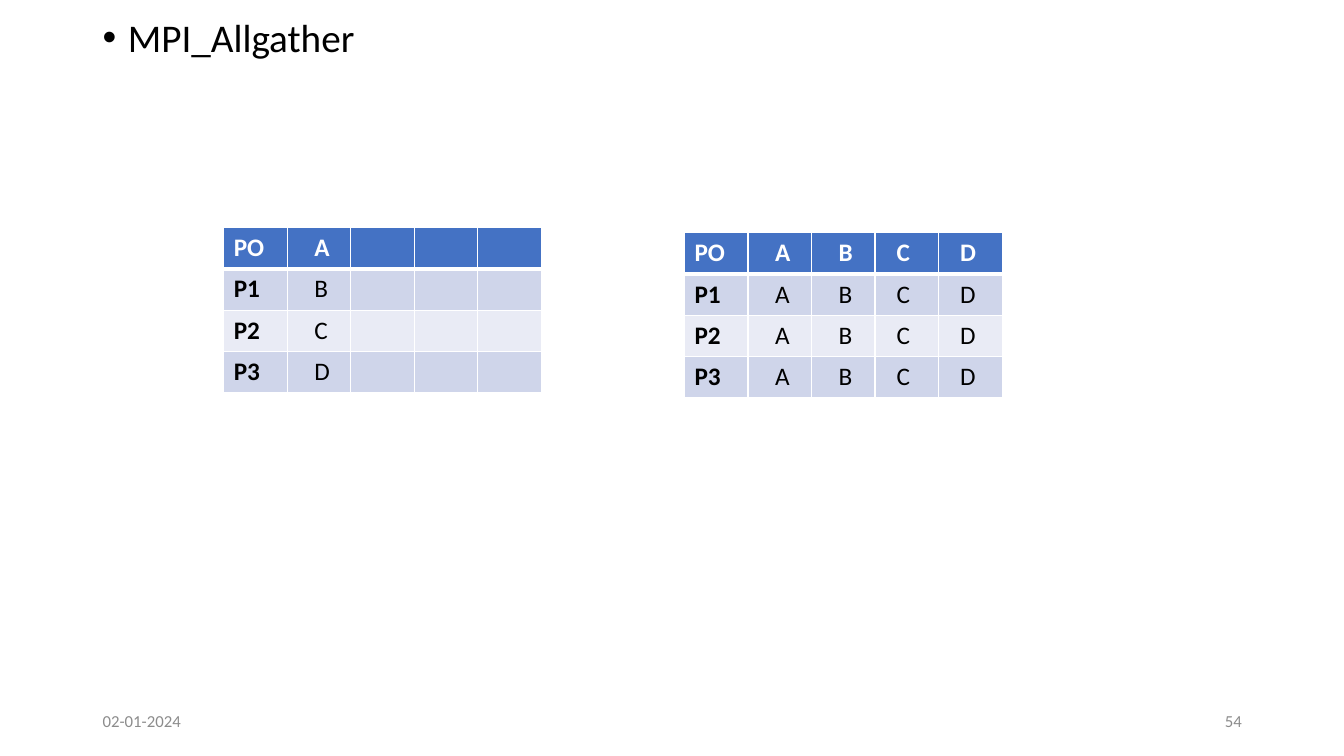
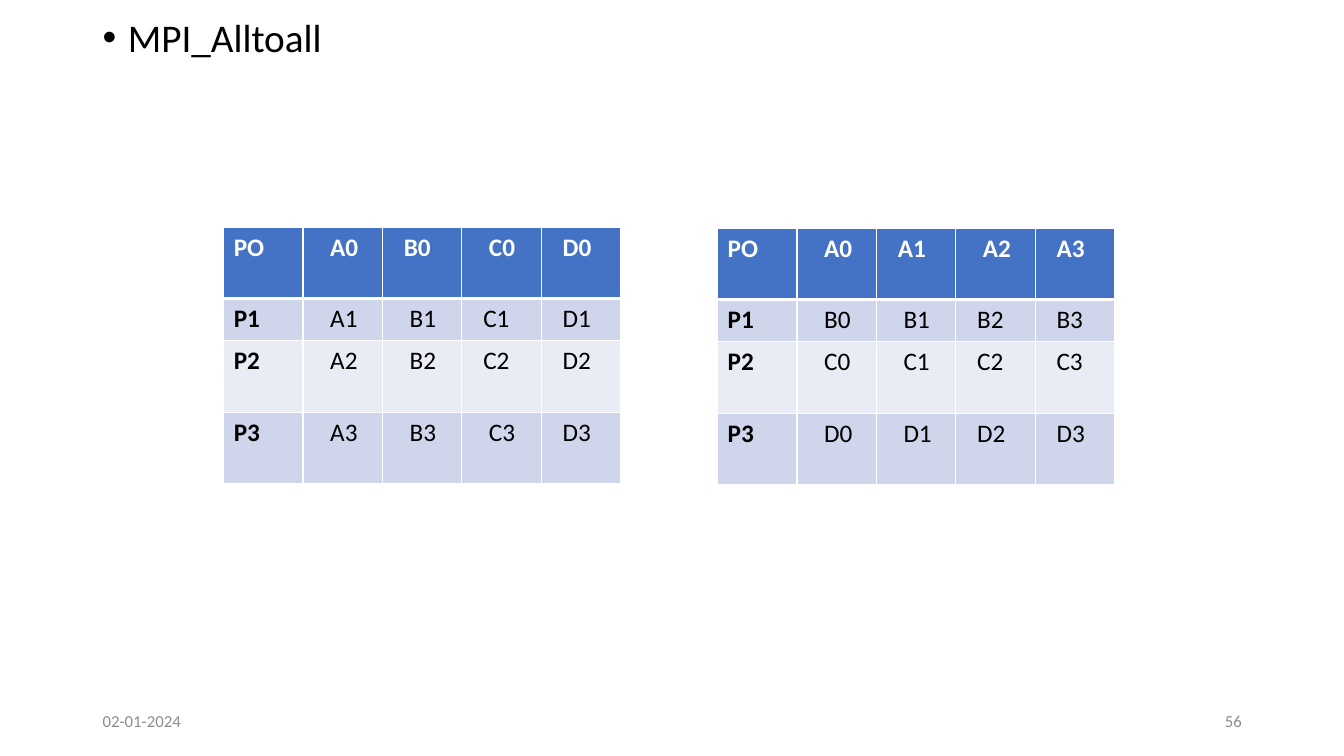
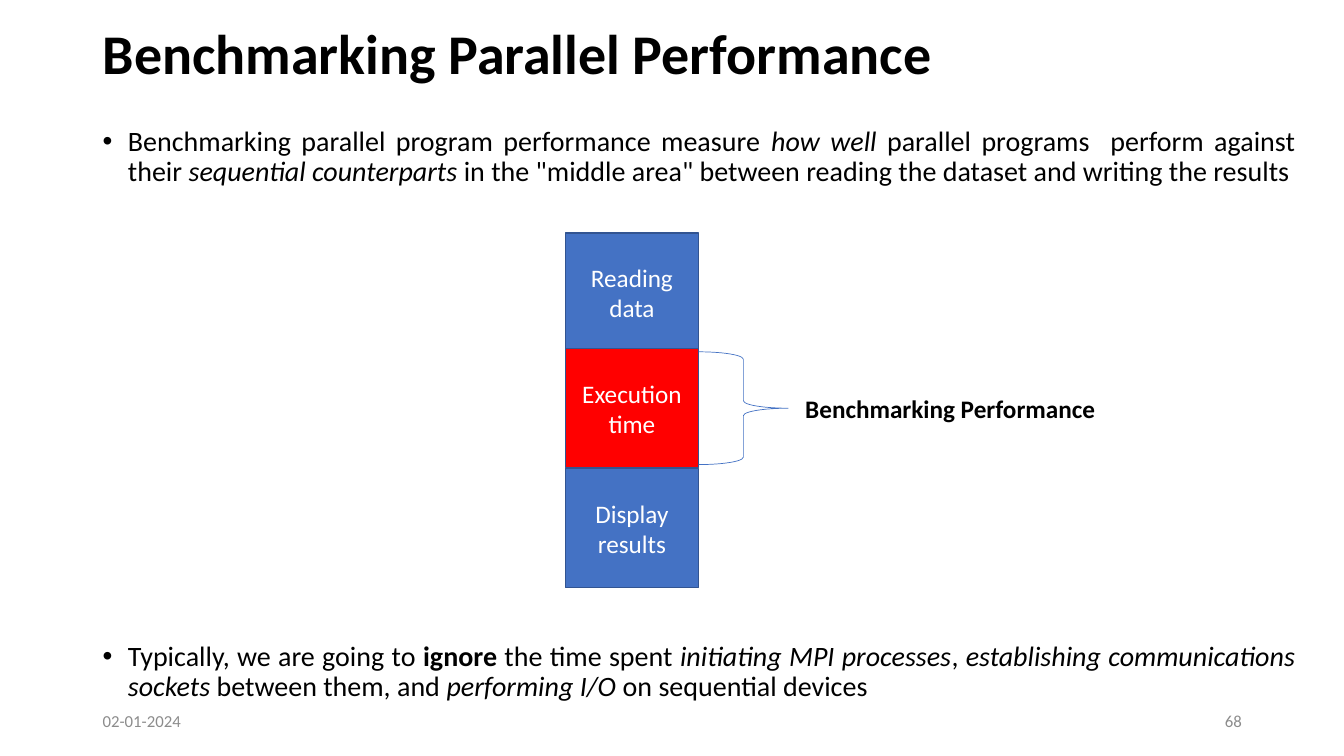
from lxml import etree
from pptx import Presentation
from pptx.dml.color import RGBColor
from pptx.enum.shapes import MSO_SHAPE
from pptx.enum.text import MSO_ANCHOR, MSO_AUTO_SIZE, PP_ALIGN
from pptx.oxml.ns import qn
from pptx.util import Pt

RECT, BRACE = MSO_SHAPE.RECTANGLE, MSO_SHAPE.RIGHT_BRACE
MIDDLE, FIXED = MSO_ANCHOR.MIDDLE, MSO_AUTO_SIZE.NONE
LEFT, CENTER, RIGHT, JUSTIFY = PP_ALIGN.LEFT, PP_ALIGN.CENTER, PP_ALIGN.RIGHT, PP_ALIGN.JUSTIFY


class Theme:
    font = "Calibri"
    black, white, gray = "000000", "FFFFFF", "8C8C8C"
    blue, navy, red = "4472C4", "325491", "FF0000"
    bands = ("E9EBF5", "CFD5EA")
    title, topic, point, label, foot = 40, 28, 20, 18, 12
    space = 4.07


def style(par, size, color=Theme.black, bold=False, align=LEFT):
    par.alignment = align
    par.font.name = Theme.font
    par.font.size = Pt(size)
    par.font.bold = bold
    par.font.color.rgb = RGBColor.from_string(color)


def place(shape, left, top, width, height):
    shape.left, shape.top = Pt(left), Pt(top)
    shape.width, shape.height = Pt(width), Pt(height)


deck = Presentation()
deck.slide_width, deck.slide_height = Pt(960), Pt(540)
layout = deck.slide_layouts[1]

topic_box = (66.2, 9.4, 828, 474.5)
pages = [
    (54, "", topic_box, [[("MPI_Allgather", "")]]),
    (56, "", topic_box, [[("MPI_Alltoall", "")]]),
    (68, "Benchmarking Parallel Performance", (66.2, 87.1, 866.2, 414), [
        [("Benchmarking parallel program performance measure ", ""), ("how well ", "i"),
         ("parallel programs  perform against their ", ""), ("sequential counterparts ", "i"),
         ('in the "middle area" between reading the dataset and writing the results', "")],
        [("Typically, we are going to ", ""), ("ignore", "b"), (" the time spent ", ""),
         ("initiating MPI processes", "i"), (", ", ""),
         ("establishing communications sockets ", "i"), ("between them, and ", ""),
         ("performing I/O ", "i"), ("on sequential devices", "")],
    ]),
]

slides = []
for number, title, box, points in pages:
    slide = deck.slides.add_slide(layout)
    slides.append(slide)
    head, body = slide.placeholders
    if title:
        place(head, 66.2, 10.8, 828, 59)
        head.text_frame.text = title
        head.text_frame.vertical_anchor = MIDDLE
        head.text_frame.auto_size = FIXED
        style(head.text_frame.paragraphs[0], Theme.title, bold=True)
        head.text_frame.paragraphs[0].line_spacing = 0.9
    else:
        head.element.getparent().remove(head.element)

    place(body, *box)
    frame = body.text_frame
    frame.auto_size = FIXED
    for index, point in enumerate(points):
        par = frame.add_paragraph() if index else frame.paragraphs[0]
        style(par, Theme.point if title else Theme.topic, align=JUSTIFY if title else LEFT)
        par.line_spacing = 0.9
        par.space_before = Pt(325 if index else 10)
        props = par._p.get_or_add_pPr()
        props.set("marL", str(Pt(18)))
        props.set("indent", str(-Pt(18)))
        for text, mark in point:
            run = par.add_run()
            run.text = text
            if mark == "i":
                run.font.italic = True
            elif mark == "b":
                run.font.bold = True

    for text, left, align in (("02-01-2024", 66.2, LEFT), (str(number), 678.2, RIGHT)):
        foot = slide.shapes.add_textbox(Pt(left), Pt(500.5), Pt(216), Pt(28.8)).text_frame
        foot.word_wrap = True
        foot.vertical_anchor = MIDDLE
        foot.text = text
        style(foot.paragraphs[0], Theme.foot, Theme.gray, align=align)

even = ["3322"] * 4
mixed = ["3232", "3322", "3322"]
low, tall = [29.4] * 4, [50.6, 30.2, 51.1, 51.1]
grids = [
    (0, 159.8, 162.7, 45.4, low, ["A", "B", "C", "D"], even),
    (0, 488.9, 166.3, 45.4, low, ["A B C D"] * 4, even),
    (1, 159.8, 162.7, 56.7, tall, [f"A{i} B{i} C{i} D{i}" for i in range(4)], mixed + ["3332"]),
    (1, 512.6, 163.4, 56.7, tall, [f"{c}0 {c}1 {c}2 {c}3" for c in "ABCD"], mixed + ["3322"]),
]
for page, left, top, width, heights, lines, insets in grids:
    table = slides[page].shapes.add_table(
        4, 5, Pt(left), Pt(top), Pt(5 * width), Pt(sum(heights))).table
    table.first_col = True
    for column in table.columns:
        column.width = Pt(width)
    for r, name in enumerate(("PO", "P1", "P2", "P3")):
        table.rows[r].height = Pt(heights[r])
        words = [name] + lines[r].split()
        for c in range(5):
            cell = table.cell(r, c)
            props = cell._tc.get_or_add_tcPr()
            for side in "LRTB":
                thick = (r, side) in ((0, "B"), (1, "T"))
                edge = etree.SubElement(props, qn(f"a:ln{side}"), w=str(Pt(3 if thick else 1)))
                paint = etree.SubElement(edge, qn("a:solidFill"))
                etree.SubElement(paint, qn("a:srgbClr"), val=Theme.white)
            cell.fill.solid()
            cell.fill.fore_color.rgb = RGBColor.from_string(Theme.bands[r % 2] if r else Theme.blue)
            if c:
                cell.margin_left = Pt(round(7.2 + int(insets[r][c - 1]) * Theme.space, 2))
            if c < len(words):
                cell.text = words[c]
            style(cell.text_frame.paragraphs[0], Theme.label,
                  Theme.black if r else Theme.white, bold=r == 0 or c == 0)

shapes = slides[2].shapes
for text, top, color in (("Reading data", 166.3, Theme.blue), ("Display results", 334.8, Theme.blue),
                         ("Execution time", 249.1, Theme.red)):
    step = shapes.add_shape(RECT, Pt(403.9), Pt(top), Pt(95), Pt(85))
    step.shadow.inherit = False
    step.fill.solid()
    step.fill.fore_color.rgb = RGBColor.from_string(color)
    step.line.color.rgb = RGBColor.from_string(Theme.navy)
    step.line.width = Pt(1)
    step.text_frame.text = text
    step.text_frame.word_wrap = True
    step.text_frame.vertical_anchor = MIDDLE
    style(step.text_frame.paragraphs[0], Theme.label, Theme.white, align=CENTER)

brace = shapes.add_shape(BRACE, Pt(499), Pt(251.3), Pt(64), Pt(80.6))
brace.shadow.inherit = False
brace.fill.background()
brace.line.color.rgb = RGBColor.from_string(Theme.blue)
brace.line.width = Pt(0.5)

note = shapes.add_textbox(Pt(568.1), Pt(277.2), Pt(236.9), Pt(29)).text_frame
note.word_wrap = True
note.text = "Benchmarking Performance"
style(note.paragraphs[0], Theme.label, bold=True)

deck.save("out.pptx")
